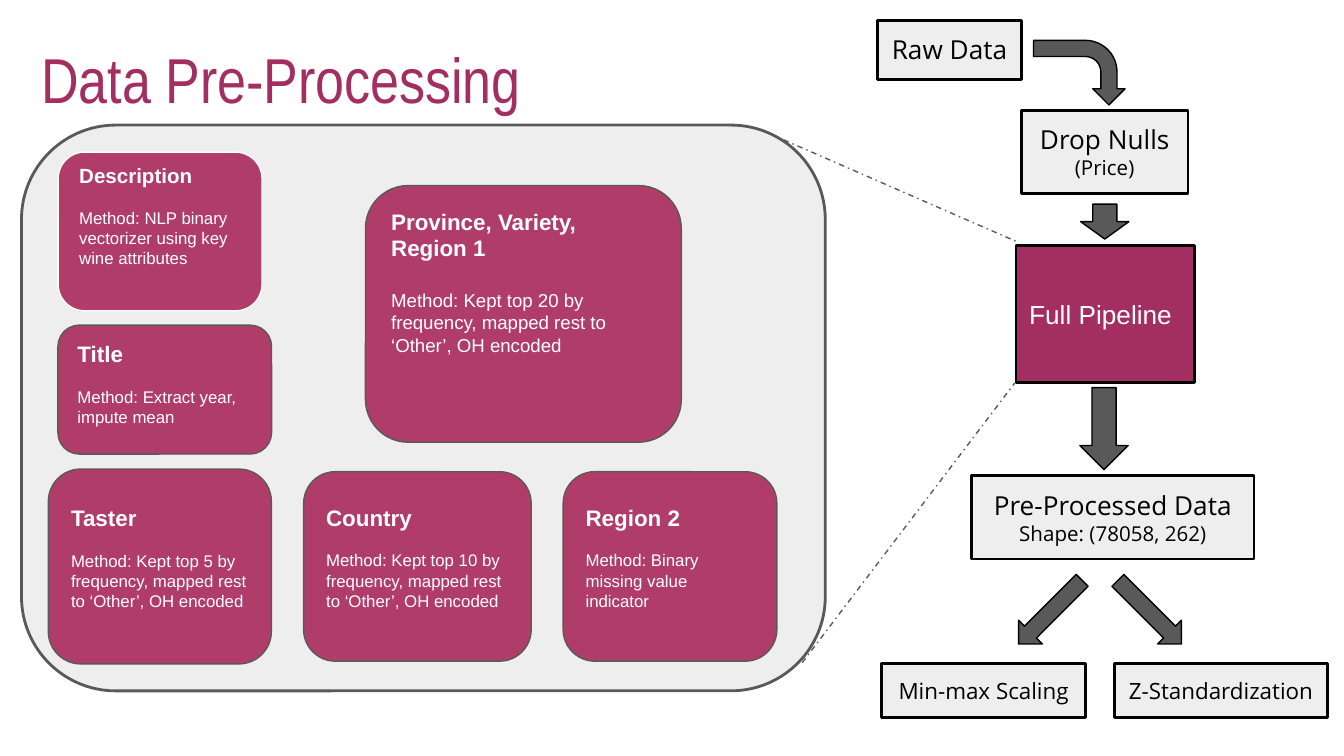
"""Build the data pre-processing slide with its cards and flow chart."""
from dataclasses import dataclass

from lxml.etree import SubElement
from pptx import Presentation
from pptx.dml.color import RGBColor
from pptx.enum.dml import MSO_LINE
from pptx.enum.shapes import MSO_CONNECTOR, MSO_SHAPE
from pptx.enum.text import MSO_ANCHOR, PP_ALIGN
from pptx.oxml.ns import qn
from pptx.util import Pt


@dataclass(frozen=True)
class Theme:
    plum: str = "A32E61"
    rose: str = "B03D69"
    pale: str = "EEEEEE"
    gray: str = "595959"
    black: str = "000000"
    white: str = "FFFFFF"
    sans: str = "Arial"
    slim: str = "Arial Narrow"
    open: str = "Open Sans"
    title: float = 34
    step: float = 14
    head: float = 12
    note: float = 11
    mid: float = 10
    small: float = 9
    thin: float = 0.75
    thick: float = 1.5
    inset: float = 7.2


def write(frame, text, size, color, font, bold=False, align=PP_ALIGN.LEFT, before=0):
    para = frame.add_paragraph() if frame.text else frame.paragraphs[0]
    para.alignment = align
    para.space_before = Pt(before)
    run = para.add_run()
    run.text = text
    run.font.size = Pt(size)
    run.font.name = font
    run.font.bold = bold
    run.font.color.rgb = RGBColor.from_string(color)


class Board:
    def __init__(self, slide, theme):
        self.slide = slide
        self.theme = theme

    def frame(self, shape, anchor=MSO_ANCHOR.TOP, top=None):
        frame = shape.text_frame
        frame.word_wrap = True
        frame.vertical_anchor = anchor
        inset = Pt(self.theme.inset)
        frame.margin_left = frame.margin_right = frame.margin_bottom = inset
        frame.margin_top = inset if top is None else Pt(top)
        return frame

    def shape(self, kind, spot, fill, edge, width):
        shape = self.slide.shapes.add_shape(kind, *map(Pt, spot))
        shape.shadow.inherit = False
        shape.fill.solid()
        shape.fill.fore_color.rgb = RGBColor.from_string(fill)
        shape.line.color.rgb = RGBColor.from_string(edge)
        shape.line.width = Pt(width)
        return shape

    def title(self, text, spot):
        t = self.theme
        box = self.slide.shapes.add_textbox(*map(Pt, spot))
        write(self.frame(box), text, size=t.title, color=t.plum, font=t.slim)

    def panel(self, spot):
        t = self.theme
        self.shape(MSO_SHAPE.ROUNDED_RECTANGLE, spot, t.pale, t.gray, t.thick)

    def card(self, spot, head, body, top, head_size, body_size, gap, edge):
        t = self.theme
        shape = self.shape(MSO_SHAPE.ROUNDED_RECTANGLE, spot, t.rose, edge, t.thin)
        frame = self.frame(shape, top=top)
        write(frame, head, size=head_size, color=t.white, font=t.sans, bold=True)
        write(frame, body, size=body_size, color=t.white, font=t.sans, before=gap)

    def step(self, spot, lines):
        t = self.theme
        frame = self.frame(self.shape(MSO_SHAPE.RECTANGLE, spot, t.pale, t.black, t.thick))
        for text, size in lines:
            write(frame, text, size=size, color=t.black, font=t.open, align=PP_ALIGN.CENTER)

    def core(self, spot, text):
        t = self.theme
        shape = self.shape(MSO_SHAPE.RECTANGLE, spot, t.plum, t.black, t.thick)
        write(self.frame(shape, MSO_ANCHOR.MIDDLE), text, size=t.step, color=t.white, font=t.sans)

    def arrow(self, spot, turn, kind=MSO_SHAPE.RIGHT_ARROW):
        t = self.theme
        shape = self.shape(kind, spot, t.gray, t.black, t.thin)
        shape.rotation = turn
        return shape

    def link(self, start, end):
        t = self.theme
        link = self.slide.shapes.add_connector(MSO_CONNECTOR.STRAIGHT, *map(Pt, start + end))
        link.line.color.rgb = RGBColor.from_string(t.gray)
        link.line.width = Pt(t.thin)
        link.line.dash_style = MSO_LINE.DASH_DOT
        SubElement(link._element.spPr, qn("a:effectLst"))


def main():
    deck = Presentation()
    deck.slide_width, deck.slide_height = Pt(720), Pt(405)
    t = Theme()
    board = Board(deck.slides.add_slide(deck.slide_layouts[6]), t)

    board.title("Data Pre-Processing", (15.1, 14.5, 345, 50.4))
    board.core((544.3, 131.4, 95.8, 73.4), "Full Pipeline")
    board.panel((11.5, 67, 430.6, 303.1))
    board.link((419.8, 74.9), (545, 129.6))
    board.link((429.8, 355), (543.6, 205.2))

    cards = [
        ((31.2, 81.5, 109.2, 85), "Description",
         "Method: NLP binary vectorizer using key wine attributes",
         1.7, t.note, t.small, 10.5, t.white),
        ((31, 174.2, 114.5, 69.1), "Title", "Method: Extract year, impute mean",
         4.5, t.head, t.small, 10.5, t.gray),
        ((195.8, 99.4, 169.2, 137.5), "Province, Variety, Region 1",
         "Method: Kept top 20 by frequency, mapped rest to ‘Other’, OH encoded",
         5.2, t.head, t.mid, 14.5, t.gray),
        ((25.9, 251.3, 119.5, 104.4), "Taster",
         "Method: Kept top 5 by frequency, mapped rest to ‘Other’, OH encoded",
         13.5, t.head, t.small, 10.5, t.gray),
        ((162.7, 252.7, 121.9, 101.5), "Country",
         "Method: Kept top 10 by frequency, mapped rest to ‘Other’, OH encoded",
         12.2, t.head, t.small, 10.5, t.gray),
        ((301.7, 252.7, 114.5, 101.5), "Region 2",
         "Method: Binary missing value indicator",
         12.2, t.head, t.small, 10.5, t.gray),
    ]
    for card in cards:
        board.card(*card)

    steps = [
        ((470.2, 10.8, 77, 31.7), [("Raw Data", t.step)]),
        ((547.2, 59, 89.3, 44.6), [("Drop Nulls", t.step), ("(Price)", t.note)]),
        ((520.6, 254.9, 151.2, 44.6),
         [("Pre-Processed Data", t.step), ("Shape: (78058, 262)", t.note)]),
        ((472.3, 355.7, 109.4, 28.8), [("Min-max Scaling", t.head)]),
        ((596.9, 355.7, 114.5, 28.8), [("Z-Standardization", t.head)]),
    ]
    for spot, lines in steps:
        board.step(spot, lines)

    arrows = [
        ((582.5, 105.8, 18.7, 25.9), 90),
        ((569.5, 216.7, 43.9, 25.9), 90),
        ((538.6, 319, 48.2, 18), 135),
        ((591.8, 319, 48.2, 18), 45),
    ]
    for spot, turn in arrows:
        board.arrow(spot, turn)
    bend = board.arrow((560.9, 14.4, 34.6, 49), 90, MSO_SHAPE.BENT_ARROW)
    bend.adjustments[3] = 0.49

    deck.save("out.pptx")


if __name__ == "__main__":
    main()
